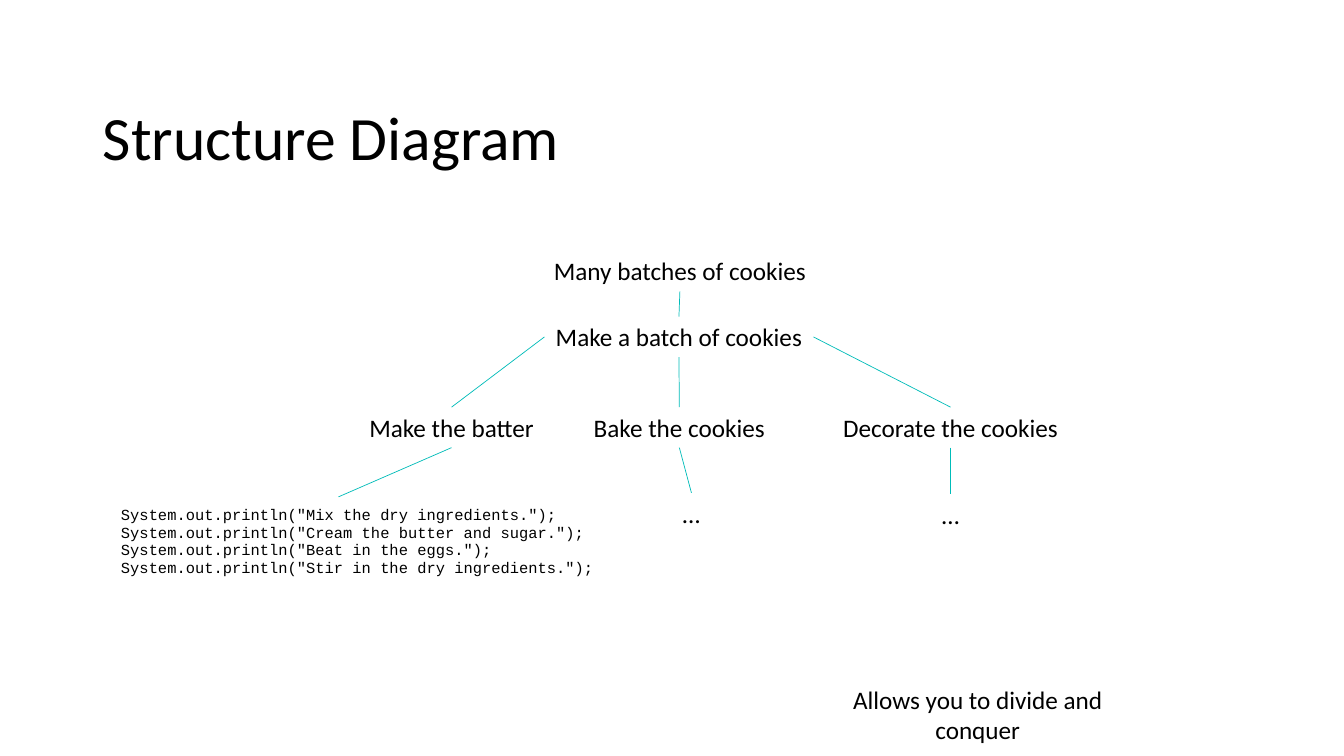
"""Build the structure diagram slide for the cookie program."""
from dataclasses import dataclass

from lxml.etree import SubElement
from pptx import Presentation
from pptx.dml.color import RGBColor
from pptx.enum.shapes import MSO_CONNECTOR
from pptx.enum.text import MSO_ANCHOR, PP_ALIGN
from pptx.oxml.ns import qn
from pptx.slide import Slide
from pptx.text.text import _Paragraph as Paragraph
from pptx.util import Cm, Pt

BLACK = "000000"
TEAL = "00BCB9"
LABEL_HEIGHT = 1.02


@dataclass(frozen=True)
class Point:
    x: float
    y: float


@dataclass(frozen=True)
class Step:
    text: str
    left: float
    top: float
    width: float

    @property
    def top_mid(self) -> Point:
        return Point(self.left + self.width / 2, self.top)

    @property
    def bottom_mid(self) -> Point:
        return Point(self.left + self.width / 2, self.top + LABEL_HEIGHT)

    @property
    def left_mid(self) -> Point:
        return Point(self.left, self.top + LABEL_HEIGHT / 2)

    @property
    def right_mid(self) -> Point:
        return Point(self.left + self.width, self.top + LABEL_HEIGHT / 2)


@dataclass(frozen=True)
class Branch:
    start: Point
    end: Point


MANY_BATCHES = Step("Many batches of cookies", 13.67, 6.32, 6.93)
ONE_BATCH = Step("Make a batch of cookies", 13.72, 7.98, 6.78)
BATTER = Step("Make the batter", 9.02, 10.26, 4.72)
BAKE = Step("Bake the cookies", 14.68, 10.26, 4.88)
DECORATE = Step("Decorate the cookies", 20.96, 10.26, 5.99)
BAKE_DETAIL = Step("…", 16.94, 12.42, 0.97)
DECORATE_DETAIL = Step("…", 23.47, 12.45, 0.97)
CONCLUSION = Step("Allows you to divide and conquer", 20.12, 17.12, 9.04)
STEPS = (MANY_BATCHES, ONE_BATCH, BATTER, BAKE, DECORATE,
         BAKE_DETAIL, DECORATE_DETAIL, CONCLUSION)

BRANCHES = (
    Branch(MANY_BATCHES.bottom_mid, ONE_BATCH.top_mid),
    Branch(ONE_BATCH.left_mid, BATTER.top_mid),
    Branch(ONE_BATCH.bottom_mid, BAKE.top_mid),
    Branch(ONE_BATCH.right_mid, DECORATE.top_mid),
    Branch(BATTER.bottom_mid, Point(8.53, 12.52)),
    Branch(BAKE.bottom_mid, BAKE_DETAIL.top_mid),
    Branch(DECORATE.bottom_mid, DECORATE_DETAIL.top_mid),
)

BATTER_CODE = (
    'System.out.println("Mix the dry ingredients.");',
    'System.out.println("Cream the butter and sugar.");',
    'System.out.println("Beat in the eggs.");',
    'System.out.println("Stir in the dry ingredients.");',
)


def colour(value: str) -> RGBColor:
    return RGBColor.from_string(value)


def add_run(paragraph: Paragraph, text: str, size: float, font: str = "Calibri") -> None:
    run = paragraph.add_run()
    run.text = text
    run.font.name = font
    run.font.size = Pt(size)
    run.font.color.rgb = colour(BLACK)


def write_title(slide: Slide, text: str) -> None:
    title = slide.shapes.title
    title.left, title.top = Cm(2.34), Cm(1.93)
    title.width, title.height = Cm(29.21), Cm(3.23)
    title.text_frame.vertical_anchor = MSO_ANCHOR.MIDDLE
    heading = title.text_frame.paragraphs[0]
    heading.alignment = PP_ALIGN.LEFT
    heading.line_spacing = 0.9
    add_run(heading, text, 44)


def draw_step(slide: Slide, step: Step) -> None:
    label = slide.shapes.add_textbox(
        Cm(step.left), Cm(step.top), Cm(step.width), Cm(LABEL_HEIGHT))
    label.text_frame.word_wrap = False
    caption = label.text_frame.paragraphs[0]
    caption.alignment = PP_ALIGN.CENTER
    add_run(caption, step.text, 18)


def draw_code(slide: Slide, statements: tuple[str, ...]) -> None:
    listing = slide.shapes.add_textbox(Cm(2.57), Cm(12.78), Cm(12.8), Cm(1.93))
    frame = listing.text_frame
    frame.word_wrap = True
    frame.margin_left = Cm(0.48)
    for index, statement in enumerate(statements):
        row = frame.add_paragraph() if index else frame.paragraphs[0]
        row.line_spacing = 0.6
        row.space_before = Pt(4.5)
        add_run(row, statement, 11, "Courier New")


def draw_branch(slide: Slide, branch: Branch) -> None:
    connector = slide.shapes.add_connector(
        MSO_CONNECTOR.STRAIGHT, Cm(branch.start.x), Cm(branch.start.y),
        Cm(branch.end.x), Cm(branch.end.y))
    connector.line.color.rgb = colour(TEAL)
    connector.line.width = Pt(0.5)
    SubElement(connector._element.spPr, qn("a:effectLst"))


def main() -> None:
    deck = Presentation()
    deck.slide_width, deck.slide_height = Cm(33.87), Cm(19.05)
    slide = deck.slides.add_slide(deck.slide_layouts[5])
    write_title(slide, "Structure Diagram")
    for step in STEPS:
        draw_step(slide, step)
    draw_code(slide, BATTER_CODE)
    for branch in BRANCHES:
        draw_branch(slide, branch)
    deck.save("out.pptx")


if __name__ == "__main__":
    main()
